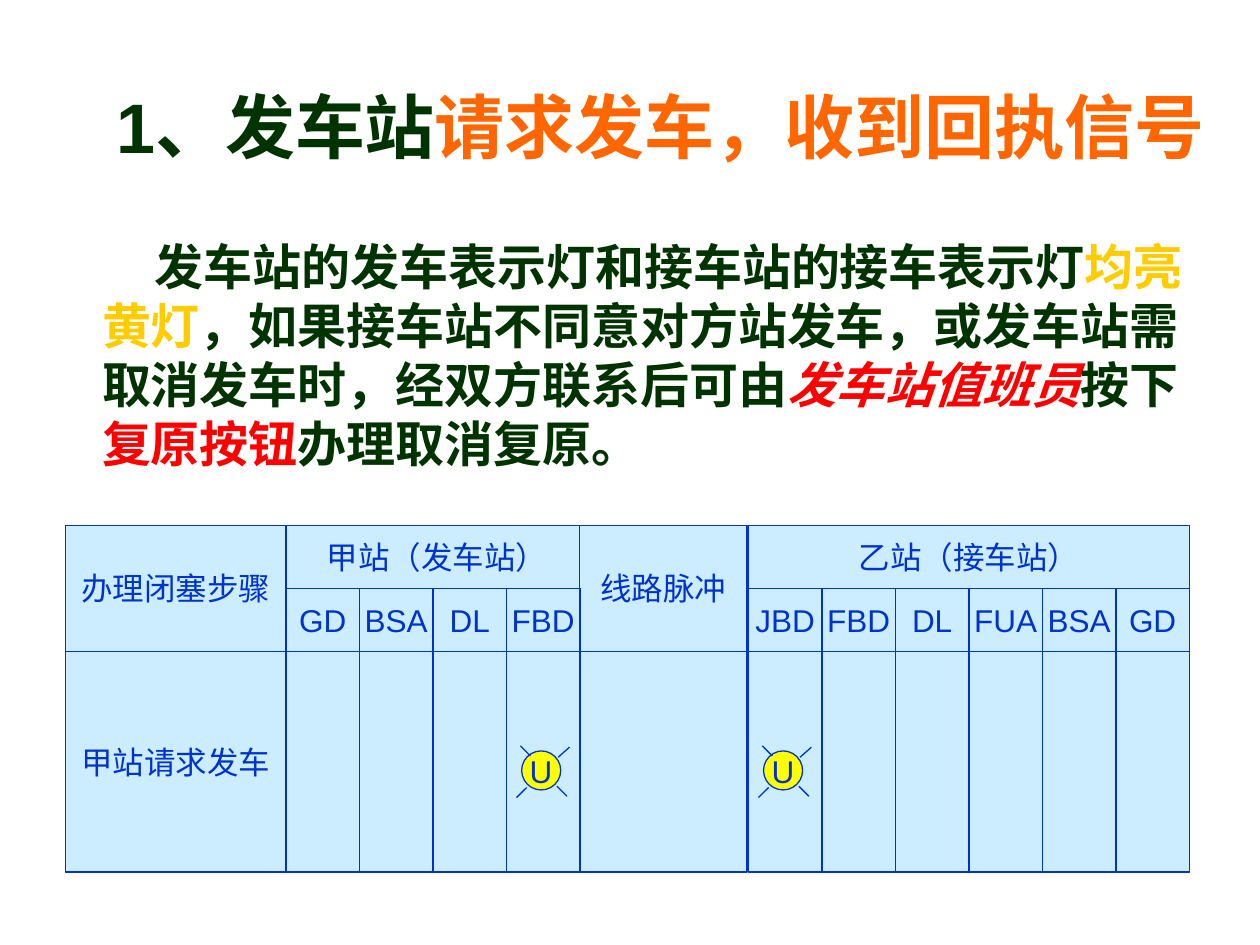
import pptx
import pptx.util
import pptx.dml.color
import pptx.enum.shapes
import pptx.enum.text
import pptx.oxml.ns
from lxml import etree

Inches = pptx.util.Inches
Pt = pptx.util.Pt
RGBColor = pptx.dml.color.RGBColor
PP_ALIGN = pptx.enum.text.PP_ALIGN
MSO_ANCHOR = pptx.enum.text.MSO_ANCHOR
MSO_SHAPE = pptx.enum.shapes.MSO_SHAPE
qn = pptx.oxml.ns.qn

GREEN = RGBColor(0x00, 0x33, 0x00)
ORANGE = RGBColor(0xFF, 0x66, 0x00)
GOLD = RGBColor(0xFF, 0xCC, 0x00)
RED = RGBColor(0xFF, 0x00, 0x00)
BLUE = RGBColor(0x00, 0x33, 0xCC)
PALE_BLUE = RGBColor(0xCC, 0xEC, 0xFF)
YELLOW = RGBColor(0xFF, 0xFF, 0x00)


class SlideBuilder:
    font = "Arial"
    label_size = Pt(18)
    line_width = Pt(0.75)

    def __init__(self, s):
        self.s = s

    def rich_text(self, sp, box, size, runs, align, anchor, margin, indent):
        sp.left, sp.top, sp.width, sp.height = [Inches(v) for v in box]
        tf = sp.text_frame
        tf.word_wrap = True
        tf.auto_size = pptx.enum.text.MSO_AUTO_SIZE.NONE
        tf.vertical_anchor = anchor
        p = tf.paragraphs[0]
        pPr = p._p.get_or_add_pPr()
        pPr.set("marL", str(Inches(margin)))
        pPr.set("indent", str(Inches(indent)))
        etree.SubElement(pPr, qn("a:buNone"))
        p.alignment = align
        p.space_before = Pt(0)
        for text, color, italic in runs:
            r = p.add_run()
            r.text = text
            r.font.name = self.font
            r.font.size = size
            r.font.bold = True
            r.font.italic = italic
            r.font.color.rgb = color

    def shape(self, kind, x, y, w, h, color, text="", inset=0.1):
        sp = self.s.shapes.add_shape(kind, Inches(x), Inches(y), Inches(w), Inches(h))
        sp.shadow.inherit = False
        sp.fill.solid()
        sp.fill.fore_color.rgb = color
        sp.line.color.rgb = BLUE
        sp.line.width = self.line_width
        if text:
            tf = sp.text_frame
            tf.word_wrap = False
            tf.vertical_anchor = MSO_ANCHOR.MIDDLE
            tf.margin_left = Inches(inset)
            p = tf.paragraphs[0]
            p.text = text
            p.alignment = PP_ALIGN.CENTER
            r = p.runs[0]
            r.font.name = self.font
            r.font.size = self.label_size
            r.font.color.rgb = BLUE

    def box(self, x, y, w, h, text="", inset=0.1):
        self.shape(MSO_SHAPE.RECTANGLE, x, y, w, h, PALE_BLUE, text, inset)

    def relays(self, x, y, width, names):
        for i, name in enumerate(names):
            self.box(x + i * width, y, width, 2.25)
            self.box(x + i * width, y, width, 0.5, name)

    def line(self, x1, y1, x2, y2):
        sp = self.s.shapes.add_connector(pptx.enum.shapes.MSO_CONNECTOR.STRAIGHT,
                                         Inches(x1), Inches(y1), Inches(x2), Inches(y2))
        sp.line.color.rgb = BLUE
        sp.line.width = self.line_width
        etree.SubElement(sp._element.spPr, qn("a:effectLst"))

    def lamp(self, x, y, text):
        self.shape(MSO_SHAPE.OVAL, x, y, 0.31, 0.31, YELLOW, text)
        rays = [(-0.01, -0.04, 0.07, 0.04), (0.29, 0.05, 0.38, -0.03),
                (0.04, 0.29, -0.04, 0.37), (0.28, 0.28, 0.36, 0.36)]
        for x1, y1, x2, y2 in rays:
            self.line(x + x1, y + y1, x + x2, y + y2)


def main():
    prs = pptx.Presentation()
    prs.slide_width = Inches(10)
    prs.slide_height = Inches(7.5)
    s = prs.slides.add_slide(prs.slide_layouts[1])
    b = SlideBuilder(s)

    b.rich_text(s.shapes.title, (0.42, 0.58, 9.34, 0.83), Pt(40), [
        ("1、发车站", GREEN, False),
        ("请求发车，收到回执信号", ORANGE, False),
    ], PP_ALIGN.CENTER, MSO_ANCHOR.MIDDLE, 0.3, 0)

    b.rich_text(s.placeholders[1], (0.33, 1.83, 9.34, 2.09), Pt(28), [
        ("发车站的发车表示灯和接车站的接车表示灯", GREEN, False),
        ("均亮黄灯", GOLD, False),
        ("，如果接车站不同意对方站发车，或发车站需取消发车时，经双方联系后可由", GREEN, False),
        ("发车站值班员", RED, True),
        ("按下", GREEN, False),
        ("复原按钮", RED, False),
        ("办理取消复原。", GREEN, False),
    ], PP_ALIGN.LEFT, MSO_ANCHOR.TOP, 0.38, 0.42)

    steps_x, sender_x, pulse_x, receiver_x = 0.52, 2.27, 4.6, 5.94
    head_y, relay_y, body_y = 4.17, 4.67, 5.17
    relay_width = 3.5 / 6
    b.box(steps_x, head_y, 1.75, 1, "办理闭塞步骤")
    b.box(sender_x, head_y, 4 * relay_width, 0.5, "甲站（发车站）", 0.16)
    b.box(pulse_x, head_y, 1.33, 1, "线路脉冲")
    b.box(receiver_x, head_y, 6 * relay_width, 0.5, "乙站（接车站）")
    b.box(steps_x, body_y, 1.75, 1.75, "甲站请求发车")
    b.box(pulse_x, body_y, 1.33, 1.75)
    b.relays(receiver_x, relay_y, relay_width, ["JBD", "FBD", "DL", "FUA", "BSA", "GD"])
    b.relays(sender_x, relay_y, relay_width, ["GD", "BSA", "DL", "FBD"])

    for x in (6.06, 4.14):
        b.lamp(x, 5.96, "U")

    prs.save("out.pptx")


if __name__ == "__main__":
    main()
